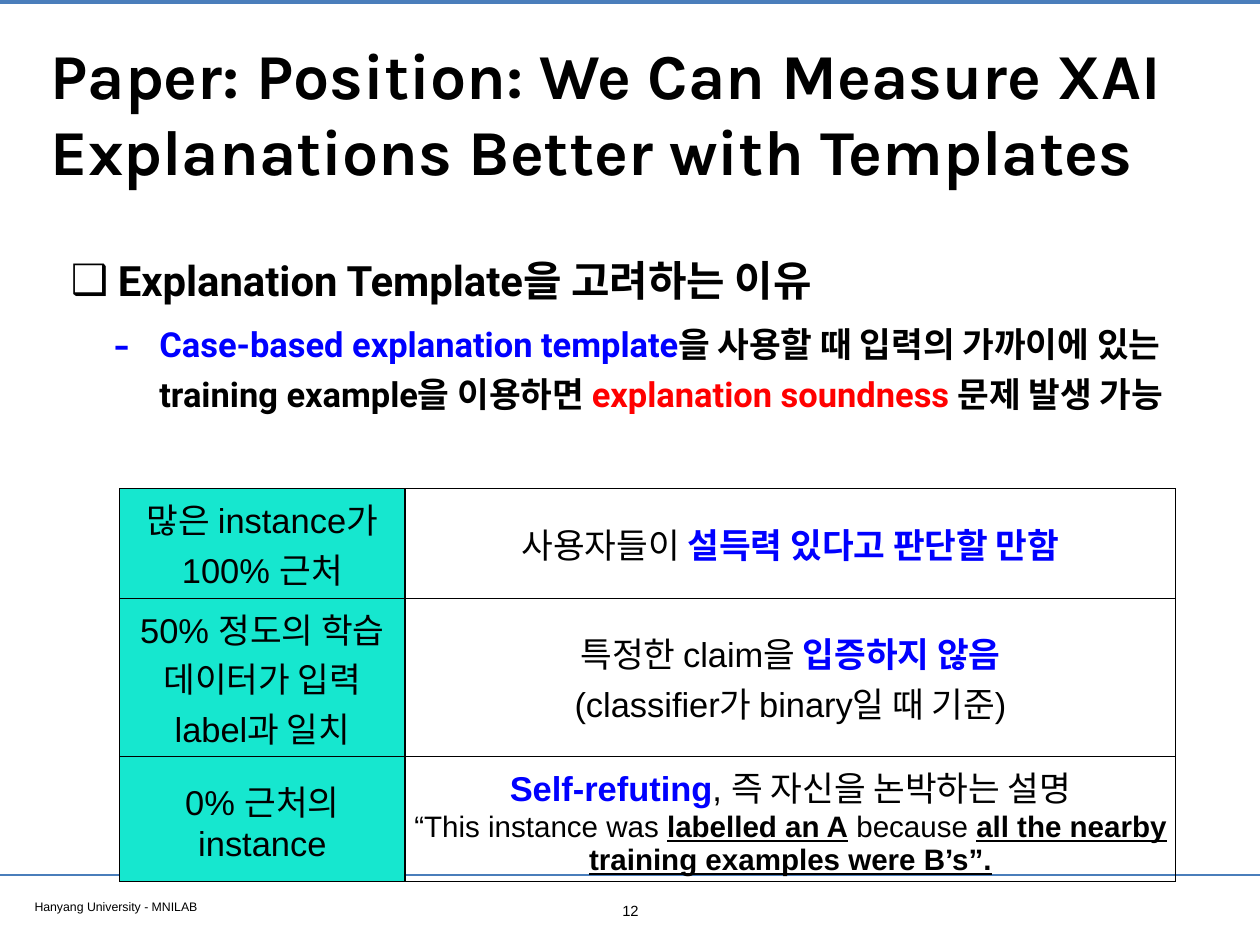
import pptx
import pptx.util
import pptx.dml.color
import pptx.enum.shapes
import pptx.enum.text
import lxml.etree
from pptx.oxml.ns import qn

Cm, Pt = pptx.util.Cm, pptx.util.Pt
ALIGN = pptx.enum.text.PP_ALIGN
ANCHOR = pptx.enum.text.MSO_ANCHOR

COLORS = {"black": "000000", "blue": "0000FF", "red": "FF0000",
          "rule": "4A7EBB", "label": "16E7CF"}

# Content: a paragraph is a list of (text, format changes) spans
TITLE = [[("Paper: Position: We Can Measure XAI Explanations Better with Templates", {})]]
FOOTER = [[("Hanyang University - MNILAB", {})]]
PAGE_NUMBER = [[("12", {})]]

KEY = {"color": "blue", "bold": True}
REASONS = [
    [("Explanation Template을 고려하는 이유", {"size": 34})],
    [("Case-based explanation template", {"color": "blue"}),
     ("을 사용할 때 입력의 가까이에 있는 training example을 이용하면 ", {}),
     ("explanation soundness ", {"color": "red"}),
     ("문제 발생 가능", {})],
]
# Bullet character, left margin and hanging indent in cm, size in percent
BULLETS = [("❑", 1.35, 1.35, 100), ("-", 2.54, 1.32, 145)]

QUOTE = {"size": 24}
QUOTE_KEY = {"size": 24, "bold": True, "underline": True}
CASES = [
    ([[("많은 instance가 100% 근처", {})]],
     [[("사용자들이 ", {}), ("설득력 있다고 판단할 만함", KEY)]]),
    ([[("50% 정도의 학습 데이터가 입력 label과 일치", {})]],
     [[("특정한 claim을 ", {}), ("입증하지 않음", KEY)],
      [("(classifier가 binary일 때 기준)", {})]]),
    ([[("0% 근처의 instance", {})]],
     [[("Self-refuting", KEY), (", 즉 자신을 논박하는 설명", {})],
      [("“This instance was ", QUOTE), ("labelled an A", QUOTE_KEY),
       (" because ", QUOTE),
       ("all the nearby training examples were B’s”.", QUOTE_KEY)]]),
]
COLUMN_WIDTHS = [8.18, 22.1]
ROW_HEIGHTS = [3.15, 4.53, 3.59]
PAGE_WIDTH, PAGE_HEIGHT = 36.12, 27.1


def rgb(name):
    return pptx.dml.color.RGBColor.from_string(COLORS[name])


def write(frame, paragraphs, font, size, bold=False, align=ALIGN.LEFT):
    """Fill a text frame and return its paragraphs."""
    frame.text = "\n".join("".join(text for text, _ in spans) for spans in paragraphs)
    for para, spans in zip(frame.paragraphs, paragraphs):
        para.text = ""
        para.alignment = align
        for text, changes in spans:
            span = para.add_run()
            span.text = text
            span.font.name = font
            span.font.size = Pt(changes.get("size", size))
            span.font.bold = changes.get("bold", bold)
            span.font.underline = changes.get("underline", False)
            span.font.color.rgb = rgb(changes.get("color", "black"))
    return frame.paragraphs


def add_text(place, paragraphs, font, size, anchor=ANCHOR.TOP, **style):
    box = slide.shapes.add_textbox(*[Cm(length) for length in place])
    frame = box.text_frame
    frame.word_wrap = True
    frame.vertical_anchor = anchor
    frame.margin_left = frame.margin_right = Cm(0.15)
    frame.margin_top = frame.margin_bottom = Cm(0.15)
    return write(frame, paragraphs, font, size, **style)


def add_bullet(para, char, margin, hanging, percent):
    properties = para._p.get_or_add_pPr()
    properties.set("marL", str(Cm(margin)))
    properties.set("indent", str(-Cm(hanging)))
    size = lxml.etree.SubElement(properties, qn("a:buSzPct"))
    size.set("val", str(percent * 1000))
    lxml.etree.SubElement(properties, qn("a:buFont")).set("typeface", "Arial")
    lxml.etree.SubElement(properties, qn("a:buChar")).set("char", char)


def add_rule(y, weight):
    rule = slide.shapes.add_connector(
        pptx.enum.shapes.MSO_CONNECTOR.STRAIGHT, 0, Cm(y), Cm(PAGE_WIDTH), Cm(y))
    rule.line.color.rgb = rgb("rule")
    rule.line.width = Pt(weight)
    lxml.etree.SubElement(rule._element.spPr, qn("a:effectLst"))


def add_borders(cell):
    properties = cell._tc.get_or_add_tcPr()
    for side in ("lnL", "lnR", "lnT", "lnB"):
        line = lxml.etree.SubElement(properties, qn("a:" + side), w=str(Pt(1)))
        fill = lxml.etree.SubElement(line, qn("a:solidFill"))
        lxml.etree.SubElement(fill, qn("a:srgbClr"), val=COLORS["black"])


deck = pptx.Presentation()
deck.slide_width, deck.slide_height = Cm(PAGE_WIDTH), Cm(PAGE_HEIGHT)
slide = deck.slides.add_slide(deck.slide_layouts[6])

# Rules and footer
add_rule(0.05, 3.2)
add_rule(25.1, 2)
add_text((0.84, 25.63, 13.87, 0.66), FOOTER, "Arial", 10)
add_text((17.58, 25.7, 0.99, 0.79), PAGE_NUMBER, "Arial", 12, align=ALIGN.CENTER)

# Title
add_text((1.3, 0.71, 33.55, 5), TITLE, "Karla", 52, ANCHOR.MIDDLE, bold=True)

# Bulleted reasons
reasons = add_text((1.88, 6.88, 32.23, 7.14), REASONS, "Roboto", 28, bold=True)
for para, bullet in zip(reasons, BULLETS):
    add_bullet(para, *bullet)
    para.line_spacing = 1.2
reasons[1].space_before = Pt(8)

# Table of cases
table = slide.shapes.add_table(
    len(CASES), len(COLUMN_WIDTHS), Cm(3.43), Cm(14.02),
    Cm(sum(COLUMN_WIDTHS)), Cm(sum(ROW_HEIGHTS))).table
table.first_row = table.horz_banding = False
for column, width in zip(table.columns, COLUMN_WIDTHS):
    column.width = Cm(width)
for row, height, case in zip(table.rows, ROW_HEIGHTS, CASES):
    row.height = Cm(height)
    for index, (cell, paragraphs) in enumerate(zip(row.cells, case)):
        write(cell.text_frame, paragraphs, "Arial", 28, align=ALIGN.CENTER)
        cell.vertical_anchor = ANCHOR.MIDDLE
        add_borders(cell)
        if index == 0:
            cell.fill.solid()
            cell.fill.fore_color.rgb = rgb("label")
        else:
            cell.fill.background()

deck.save("out.pptx")
